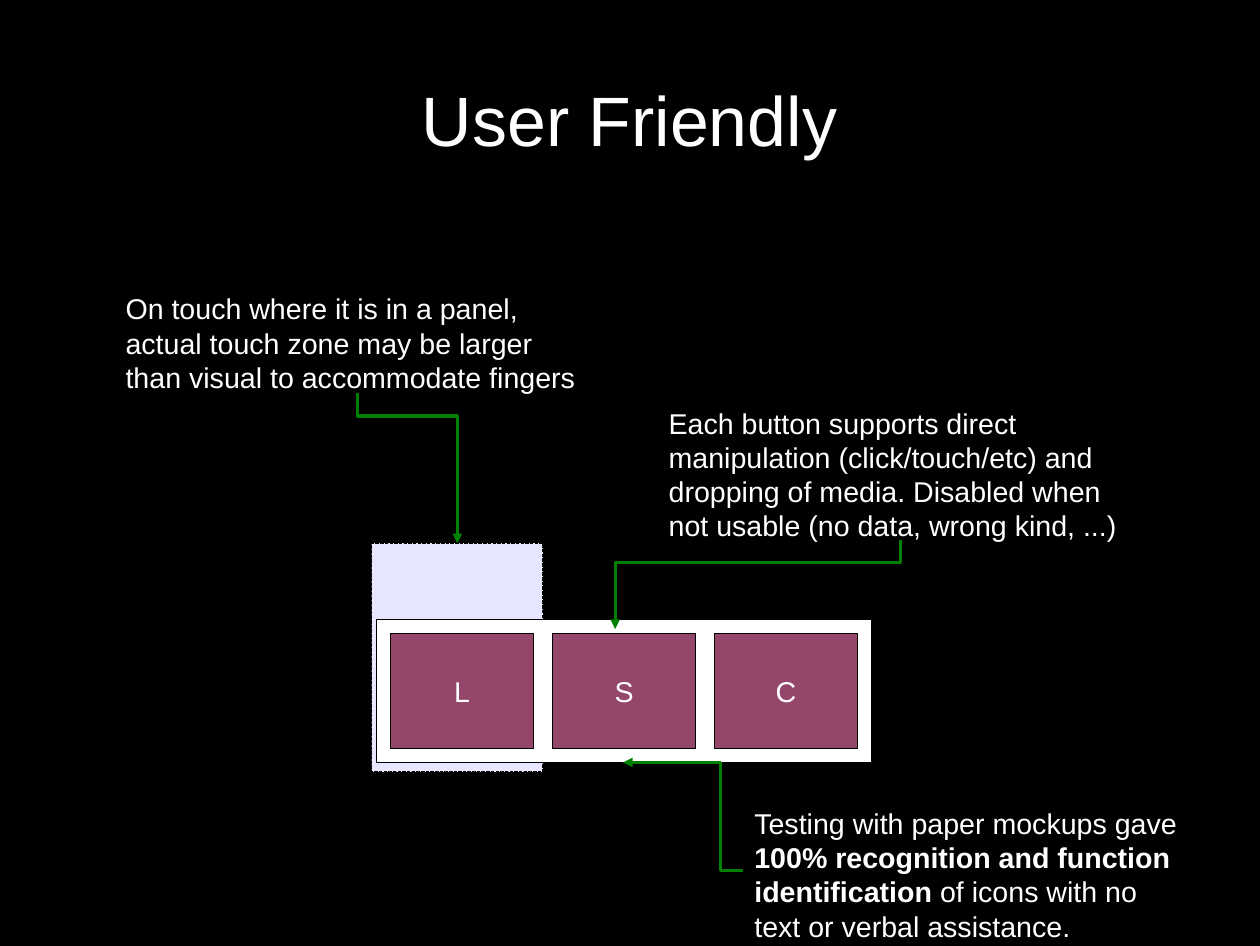
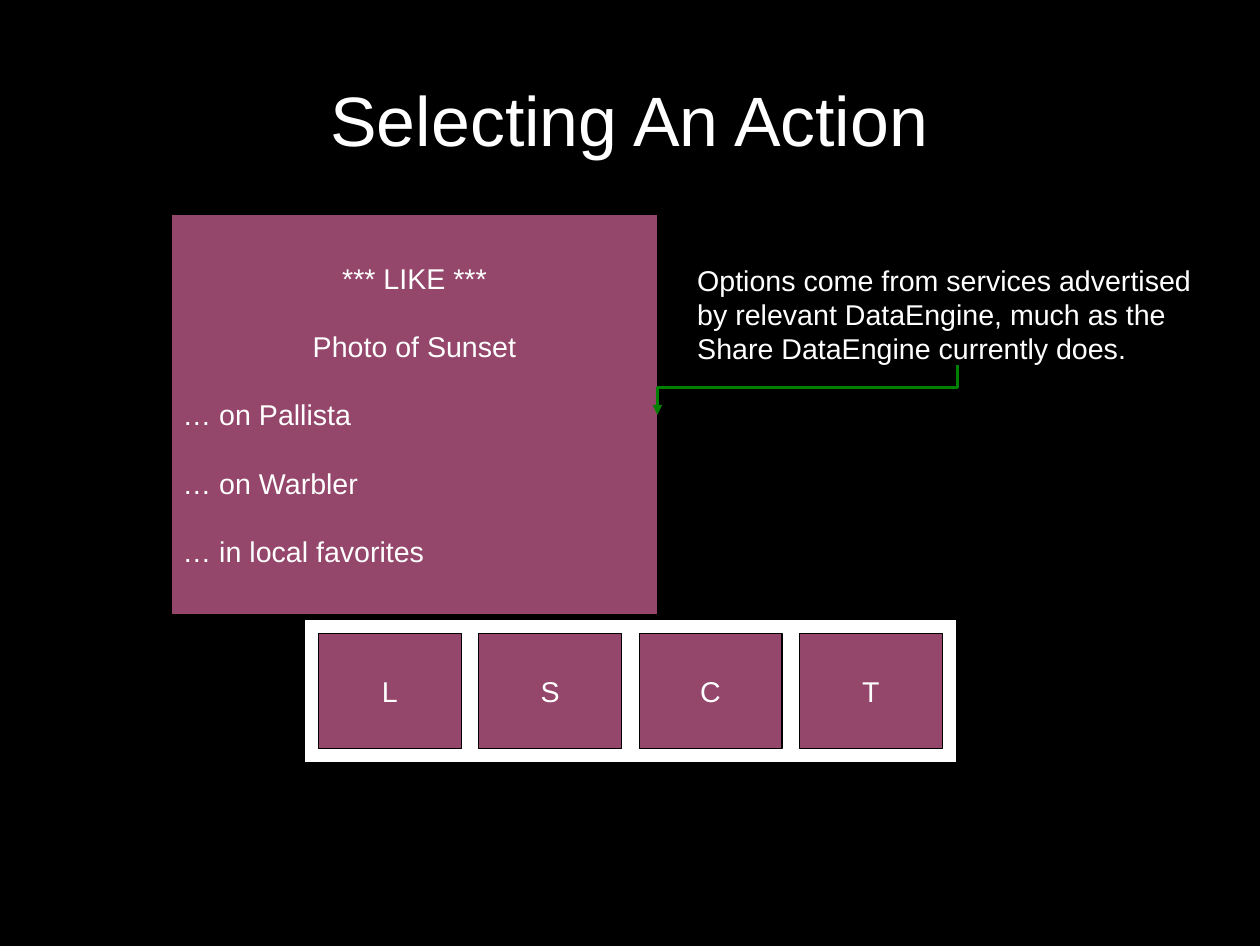
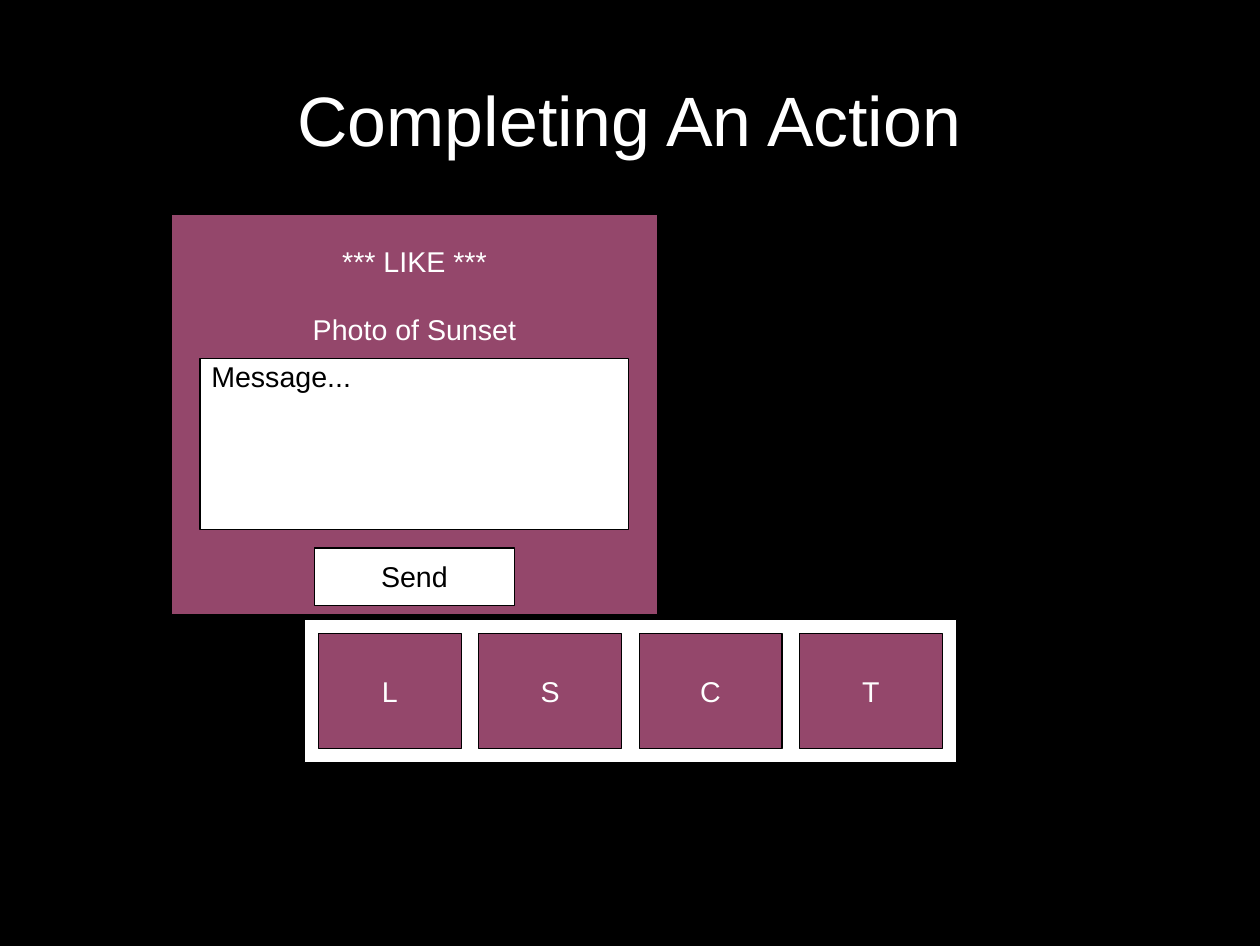
"""Build three slides on a touch toolbar and its action panel."""
import dataclasses

import lxml.etree
import pptx
import pptx.dml.color
import pptx.enum.dml
import pptx.enum.shapes
import pptx.enum.text
import pptx.oxml.ns
import pptx.util

Pt = pptx.util.Pt
ALIGN = pptx.enum.text.PP_ALIGN
ANCHOR = pptx.enum.text.MSO_ANCHOR
qn = pptx.oxml.ns.qn


@dataclasses.dataclass(frozen=True)
class Theme:
    font: str = "Arial"
    black: str = "000000"
    white: str = "FFFFFF"
    plum: str = "94476B"
    lavender: str = "E6E6FF"
    green: str = "008000"
    title_size: float = 44
    title_leading: float = 55.5
    body_size: float = 18
    body_leading: float = 21.5


THEME = Theme()
PANEL = (108, 135, 306, 252)
WIDE_BAR = (191.5, 411)
BAR_TOP, BAR_HEIGHT = 390, 90
BUTTON_WIDTH, BUTTON_HEIGHT, BAR_PADDING = 90, 72, 9
ARROW_STUB = 14.17


def rgb(colour):
    return pptx.dml.color.RGBColor.from_string(colour)


def style_paragraph(paragraph, colour, align, size=THEME.body_size, leading=THEME.body_leading):
    paragraph.alignment = align
    paragraph.line_spacing = Pt(leading)
    paragraph.font.name = THEME.font
    paragraph.font.size = Pt(size)
    paragraph.font.color.rgb = rgb(colour)


def add_titled_slide(deck, title):
    slide = deck.slides.add_slide(deck.slide_layouts[5])
    heading = slide.shapes.title
    heading.left, heading.top, heading.width, heading.height = map(Pt, (39.6, 24, 714, 99))
    frame = heading.text_frame
    frame.text = title
    frame.auto_size = pptx.enum.text.MSO_AUTO_SIZE.NONE
    frame.vertical_anchor = ANCHOR.MIDDLE
    frame.margin_left = frame.margin_top = frame.margin_right = frame.margin_bottom = 0
    style_paragraph(frame.paragraphs[0], THEME.white, ALIGN.CENTER,
                    THEME.title_size, THEME.title_leading)
    return slide


def add_box(slide, bounds, fill, lines=(), text_colour=THEME.white, top_margin=None):
    """Draw a rectangle; lines are (text, alignment) pairs set one line apart."""
    box = slide.shapes.add_shape(pptx.enum.shapes.MSO_SHAPE.RECTANGLE, *map(Pt, bounds))
    box.shadow.inherit = False
    box.fill.solid()
    box.fill.fore_color.rgb = rgb(fill)
    box.line.color.rgb = rgb(THEME.black)
    box.line.width = Pt(0)
    frame = box.text_frame
    frame.vertical_anchor = ANCHOR.MIDDLE
    if top_margin is not None:
        frame.vertical_anchor = ANCHOR.TOP
        frame.margin_top = Pt(top_margin)
    for index, (text, align) in enumerate(lines):
        paragraph = frame.add_paragraph() if index else frame.paragraphs[0]
        paragraph.text = text
        if index:
            paragraph.space_before = Pt(THEME.body_leading)
        style_paragraph(paragraph, text_colour, align)
    return box


def add_toolbar(slide, left, width, labels):
    """Draw the white bar with its buttons spread evenly inside the padding."""
    add_box(slide, (left, BAR_TOP, width, BAR_HEIGHT), THEME.white)
    pitch = (width - 2 * BAR_PADDING - BUTTON_WIDTH) / (len(labels) - 1)
    for index, label in enumerate(labels):
        button = (left + BAR_PADDING + index * pitch, BAR_TOP + BAR_PADDING,
                  BUTTON_WIDTH, BUTTON_HEIGHT)
        add_box(slide, button, THEME.plum, [(label, ALIGN.CENTER)])


def add_callout(slide, bounds, *pieces):
    """Add a note whose every second piece is bold."""
    frame = slide.shapes.add_textbox(*map(Pt, bounds)).text_frame
    frame.word_wrap = True
    paragraph = frame.paragraphs[0]
    style_paragraph(paragraph, THEME.white, ALIGN.LEFT)
    for index, piece in enumerate(pieces):
        run = paragraph.add_run()
        run.text = piece
        if index % 2:
            run.font.bold = True


def add_elbow_arrow(slide, start, end, downward=True):
    """Draw a bent arrow that leaves its start by a short stub, down or sideways."""
    (x1, y1), (x2, y2) = start, end
    width, height = abs(x2 - x1), abs(y2 - y1)
    run_length = height if downward else width
    if downward:
        middle_x, middle_y = (x1 + x2) / 2, (y1 + y2) / 2
        left, right = middle_x - height / 2, middle_x + height / 2
        top, bottom = middle_y - width / 2, middle_y + width / 2
        rightward = x2 > x1
        x1, x2 = (right, left) if rightward else (left, right)
        y1, y2 = top, bottom
    arrow = slide.shapes.add_connector(pptx.enum.shapes.MSO_CONNECTOR.ELBOW,
                                       *map(Pt, (x1, y1, x2, y2)))
    properties = arrow.element.spPr
    if downward:
        properties.find(qn("a:xfrm")).set("rot", str((270 if rightward else 90) * 60000))
    guides = properties.find(qn("a:prstGeom")).find(qn("a:avLst"))
    lxml.etree.SubElement(guides, qn("a:gd"), name="adj1",
                          fmla=f"val {round(ARROW_STUB / run_length * 100000)}")
    arrow.line.color.rgb = rgb(THEME.green)
    arrow.line.width = Pt(0)
    lxml.etree.SubElement(properties.find(qn("a:ln")), qn("a:tailEnd"), type="triangle")
    lxml.etree.SubElement(properties, qn("a:effectLst"))


def build_user_friendly(deck):
    slide = add_titled_slide(deck, "User Friendly")
    touch_zone = add_box(slide, (234, 342, 108, 144), THEME.lavender)
    touch_zone.line.dash_style = pptx.enum.dml.MSO_LINE.SQUARE_DOT
    add_toolbar(slide, 237, 312, "LSC")
    add_callout(slide, (414, 252, 306, 88),
                "Each button supports direct manipulation (click/touch/etc) and dropping "
                "of media. Disabled when not usable (no data, wrong kind, ...)")
    add_elbow_arrow(slide, (567, 340), (387.4, 396))
    add_callout(slide, (72, 180, 306, 68),
                "On touch where it is in a panel, actual touch zone may be larger "
                "than visual to accommodate fingers")
    add_elbow_arrow(slide, (225, 247.7), (288, 342))
    add_callout(slide, (468, 504, 288, 88), "Testing with paper mockups gave ",
                "100% recognition and function identification",
                " of icons with no text or verbal assistance.")
    add_elbow_arrow(slide, (468, 548), (392.4, 480), downward=False)


def build_selecting(deck):
    slide = add_titled_slide(deck, "Selecting An Action")
    add_toolbar(slide, *WIDE_BAR, "LSCT")
    add_box(slide, PANEL, THEME.plum, [
        ("*** LIKE ***", ALIGN.CENTER),
        ("Photo of Sunset", ALIGN.CENTER),
        ("… on Pallista", ALIGN.LEFT),
        ("… on Warbler", ALIGN.LEFT),
        ("… in local favorites", ALIGN.LEFT),
    ])
    add_callout(slide, (432, 162, 342, 68),
                "Options come from services advertised by relevant DataEngine, "
                "much as the Share DataEngine currently does.")
    add_elbow_arrow(slide, (603, 229.7), (414, 261))


def build_completing(deck):
    slide = add_titled_slide(deck, "Completing An Action")
    add_toolbar(slide, *WIDE_BAR, "LSCT")
    add_box(slide, PANEL, THEME.plum,
            [("*** LIKE ***", ALIGN.CENTER), ("Photo of Sunset", ALIGN.CENTER)],
            top_margin=18.5)
    add_box(slide, (126, 225.5, 270, 108), THEME.white, [("Message...", ALIGN.LEFT)],
            THEME.black, top_margin=0.5)
    add_box(slide, (198, 345, 126, 36), THEME.white, [("Send", ALIGN.CENTER)], THEME.black)


def main():
    deck = pptx.Presentation()
    deck.slide_width, deck.slide_height = Pt(793.5), Pt(595.5)
    backdrop = deck.slide_master.background.fill
    backdrop.solid()
    backdrop.fore_color.rgb = rgb(THEME.black)
    build_user_friendly(deck)
    build_selecting(deck)
    build_completing(deck)
    deck.save("out.pptx")


if __name__ == "__main__":
    main()
